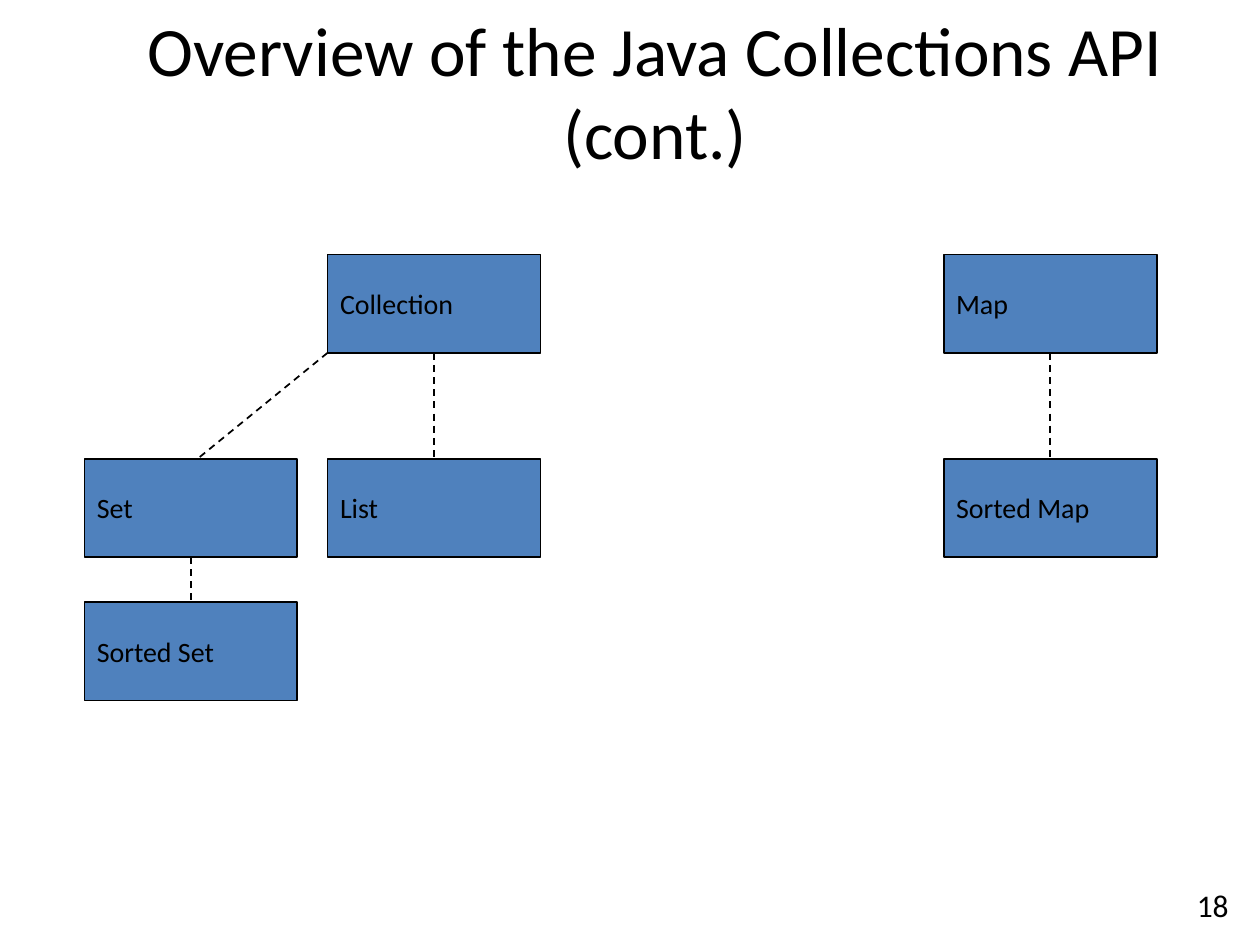
import pptx
import pptx.dml.color
import pptx.enum.dml
import pptx.enum.shapes
import pptx.enum.text
import pptx.oxml.ns
import pptx.util
from pptx.util import Inches

COLORS = {"text": "000000", "line": "000000", "box": "4F81BD"}
FONT = "Calibri"
BOX_WIDTH, BOX_HEIGHT = Inches(1.69), Inches(0.78)
ROOT_TOP, CHILD_TOP, GRANDCHILD_TOP = Inches(2.02), Inches(3.64), Inches(4.78)
TOP, BOTTOM = 0, 2
ALIGN = pptx.enum.text.PP_ALIGN
ANCHOR = pptx.enum.text.MSO_ANCHOR


def color(name):
    """Return the named colour."""
    return pptx.dml.color.RGBColor.from_string(COLORS[name])


def write(shape, runs, alignment, anchor):
    """Write (text, size) runs as the one paragraph of a shape."""
    frame = shape.text_frame
    frame.word_wrap = True
    frame.vertical_anchor = anchor
    paragraph = frame.paragraphs[0]
    paragraph.alignment = alignment
    for text, size in runs:
        run = paragraph.add_run()
        run.text = text
        run.font.name = FONT
        run.font.size = pptx.util.Pt(size)
        run.font.color.rgb = color("text")
    return paragraph


def add_text(slide, left, top, width, height, runs, alignment, anchor):
    """Add a text box."""
    shape = slide.shapes.add_textbox(left, top, width, height)
    write(shape, runs, alignment, anchor)


def add_box(slide, left, top, label):
    """Add a labelled interface box."""
    shape = slide.shapes.add_shape(
        pptx.enum.shapes.MSO_SHAPE.RECTANGLE, left, top, BOX_WIDTH, BOX_HEIGHT)
    shape.shadow.inherit = False
    shape.fill.solid()
    shape.fill.fore_color.rgb = color("box")
    shape.line.color.rgb = color("line")
    shape.line.width = pptx.util.Pt(1)
    paragraph = write(shape, [(label, 16)], ALIGN.LEFT, ANCHOR.MIDDLE)
    properties = paragraph._p.get_or_add_pPr()
    properties.set("marL", str(Inches(0.38)))
    properties.set("indent", str(Inches(-0.38)))
    return shape


def add_dashed_line(slide, start_x=0, start_y=0, end_x=0, end_y=0):
    """Add a dashed straight connector."""
    line = slide.shapes.add_connector(
        pptx.enum.shapes.MSO_CONNECTOR.STRAIGHT, start_x, start_y, end_x, end_y)
    line.line.color.rgb = color("line")
    line.line.width = pptx.util.Pt(1)
    line.line.dash_style = pptx.enum.dml.MSO_LINE.DASH
    line._element.spPr.append(
        pptx.oxml.parse_xml(f"<a:effectLst {pptx.oxml.ns.nsdecls('a')}/>"))
    return line


def link(slide, parent, child):
    """Join a parent's bottom to its child's top."""
    line = add_dashed_line(slide)
    line.begin_connect(parent, BOTTOM)
    line.end_connect(child, TOP)


def add_collection_tree(slide, left):
    """Draw the Collection hierarchy from its left edge."""
    list_left = left + Inches(1.93)
    collection = add_box(slide, list_left, ROOT_TOP, "Collection")
    set_box = add_box(slide, left, CHILD_TOP, "Set")
    list_box = add_box(slide, list_left, CHILD_TOP, "List")
    sorted_set = add_box(slide, left, GRANDCHILD_TOP, "Sorted Set")
    link(slide, collection, list_box)
    add_dashed_line(slide, list_left, ROOT_TOP + BOX_HEIGHT,
                    left + Inches(0.9), CHILD_TOP)
    link(slide, set_box, sorted_set)


def add_map_tree(slide, left):
    """Draw the Map hierarchy from its left edge."""
    map_box = add_box(slide, left, ROOT_TOP, "Map")
    sorted_map = add_box(slide, left, CHILD_TOP, "Sorted Map")
    link(slide, map_box, sorted_map)


def main():
    """Build and save the slide."""
    presentation = pptx.Presentation()
    presentation.slide_width, presentation.slide_height = Inches(10), Inches(7.5)
    slide = presentation.slides.add_slide(presentation.slide_layouts[6])
    add_text(slide, Inches(8), Inches(7.08), Inches(1.85), Inches(0.3),
             [("18", 18)], ALIGN.RIGHT, ANCHOR.BOTTOM)
    add_text(slide, Inches(0.5), Inches(0.22), Inches(9.4), Inches(1),
             [("Overview of the Java Collections API", 39.6), (" ", 9),
              ("(cont.)", 39.6)], ALIGN.CENTER, ANCHOR.MIDDLE)
    add_collection_tree(slide, Inches(0.67))
    add_map_tree(slide, Inches(7.49))
    presentation.save("out.pptx")


if __name__ == "__main__":
    main()
